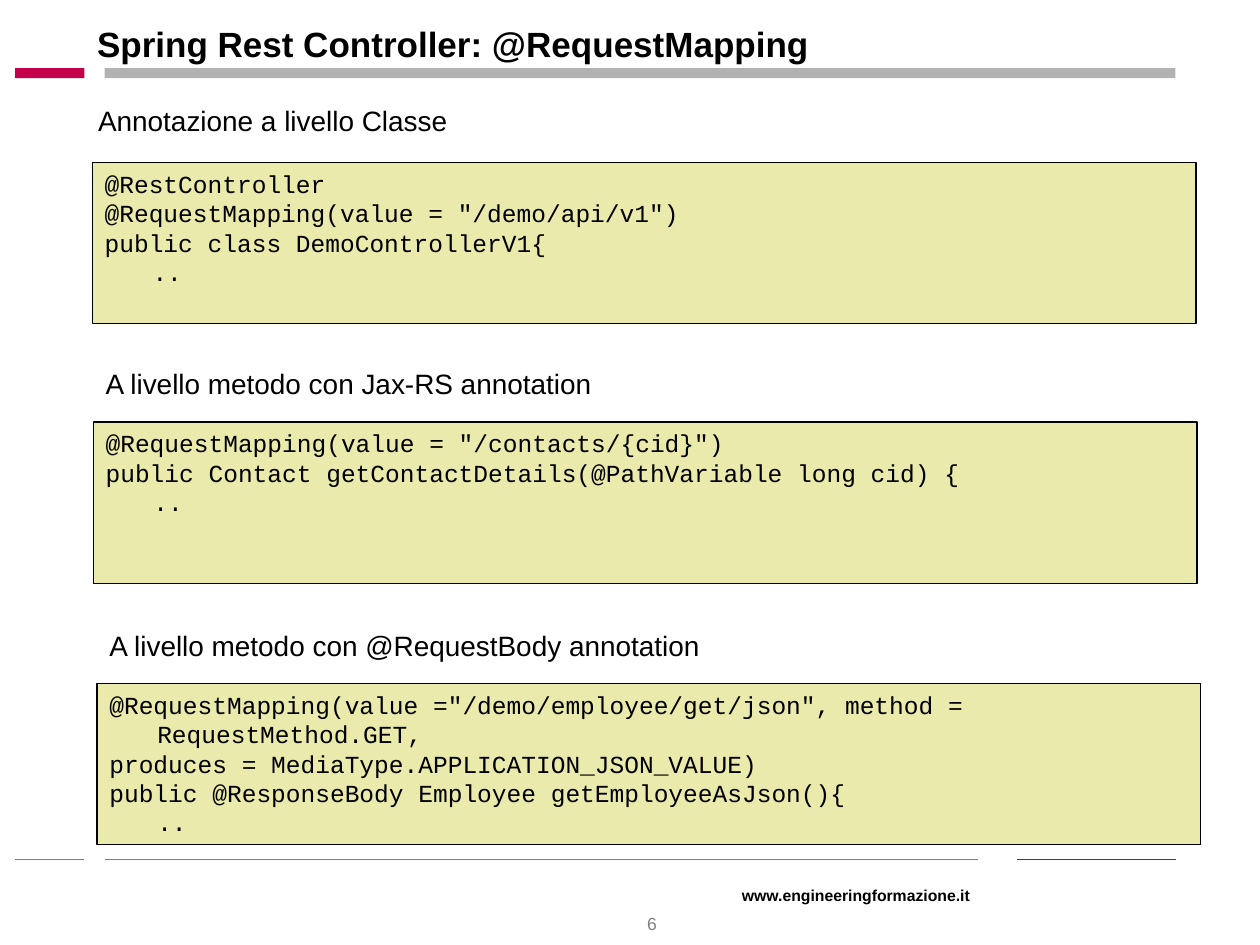
from lxml import etree
from pptx import Presentation
from pptx.dml.color import RGBColor
from pptx.enum.shapes import MSO_CONNECTOR, MSO_SHAPE
from pptx.enum.text import MSO_ANCHOR, PP_ALIGN
from pptx.oxml.ns import qn
from pptx.util import Pt

RECT = MSO_SHAPE.RECTANGLE
LINE = MSO_CONNECTOR.STRAIGHT
LEFT, MID = PP_ALIGN.LEFT, PP_ALIGN.CENTER
TOP, CENTER = MSO_ANCHOR.TOP, MSO_ANCHOR.MIDDLE

BLACK = RGBColor(0x00, 0x00, 0x00)
GRAY = RGBColor(0x80, 0x80, 0x80)
SILVER = RGBColor(0xB2, 0xB2, 0xB2)
RED = RGBColor(0xC4, 0x00, 0x4B)
CREAM = RGBColor(0xEA, 0xEA, 0xAC)

HEAD = {"name": "Arial", "size": Pt(20), "bold": True}
LABEL = {"name": "Arial", "size": Pt(16), "bold": False}
CODE = {"name": "Courier New", "size": Pt(14), "bold": False}
SITE = {"name": "Arial", "size": Pt(9), "bold": True}
PAGE = {"name": "Arial", "size": Pt(10), "bold": False}
HANG = 27.36

PARTS = [
    ("Annotazione a livello Classe", (48.96, 55.44, 625.68, 28.08),
     ["@RestController",
      '@RequestMapping(value = "/demo/api/v1")',
      "public class DemoControllerV1{",
      "\t.."], (52.75, 92.88)),
    ("A livello metodo con Jax-RS annotation", (53.28, 205.92, 617.76, 35.28),
     ['@RequestMapping(value = "/contacts/{cid}")',
      "public Contact getContactDetails(@PathVariable long cid) {",
      "\t.."], (53.28, 241.2)),
    ("A livello metodo con @RequestBody annotation", (55.44, 355.68, 617.76, 35.28),
     ['@RequestMapping(value ="/demo/employee/get/json", method = RequestMethod.GET,',
      "produces = MediaType.APPLICATION_JSON_VALUE)",
      "public @ResponseBody Employee getEmployeeAsJson(){",
      "\t.."], (55.44, 390.6)),
]


def points(box):
    return [Pt(n) for n in box]


def style(para, form, color=BLACK, align=LEFT):
    para.alignment = align
    for key, value in form.items():
        setattr(para.font, key, value)
    para.font.color.rgb = color


def add_label(slide, box, text, form, color=BLACK, align=LEFT):
    frame = slide.shapes.add_textbox(*points(box)).text_frame
    frame.word_wrap = True
    frame.text = text
    style(frame.paragraphs[0], form, color, align)


def add_bar(slide, box, color):
    bar = slide.shapes.add_shape(RECT, *points(box))
    bar.shadow.inherit = False
    bar.fill.solid()
    bar.fill.fore_color.rgb = color
    bar.line.fill.background()
    return bar


def add_rule(slide, start, end, y, color):
    rule = slide.shapes.add_connector(LINE, *points((start, y, end, y)))
    rule.line.color.rgb = color
    rule.line.width = Pt(0.75)
    etree.SubElement(rule._element.spPr, qn("a:effectLst"))


def hang(para):
    props = para._p.get_or_add_pPr()
    props.set("marL", str(Pt(HANG)))
    props.set("indent", str(-Pt(HANG)))
    tabs = etree.SubElement(props, qn("a:tabLst"))
    for step in range(8):
        etree.SubElement(tabs, qn("a:tab"), pos=str(Pt(72 * step)), algn="l")


def add_code(slide, box, lines):
    panel = add_bar(slide, box, CREAM)
    panel.line.color.rgb = BLACK
    panel.line.width = Pt(0.75)
    frame = panel.text_frame
    frame.word_wrap = True
    frame.vertical_anchor = TOP
    frame.text = "\n".join(lines)
    for para in frame.paragraphs:
        hang(para)
        style(para, CODE)


def add_title(slide, box, text):
    title = slide.shapes.title
    title.left, title.top, title.width, title.height = points(box)
    frame = title.text_frame
    frame.word_wrap = True
    frame.vertical_anchor = CENTER
    frame.text = text
    style(frame.paragraphs[0], HEAD)


def add_header(slide, box):
    left, top, width, height = box
    add_bar(slide, (left + 51.12, top, width - 51.12, height), SILVER)
    add_bar(slide, (left, top, 39.6, height), RED)


def add_footer(slide, box):
    left, top, width, height = box
    right = left + width
    add_rule(slide, left, left + 39.6, top, GRAY)
    add_rule(slide, left + 51.12, left + 550, top, GRAY)
    add_rule(slide, right - 90.72, right, top, RED)
    add_label(slide, (left + 408.24, top + 11.52, 147.6, 18),
              "www.engineeringformazione.it", SITE)
    add_label(slide, (left + 329.76, top + 27.36, 68.4, height - 27.36),
              "6", PAGE, GRAY, MID)


def main():
    deck = Presentation()
    deck.slide_width, deck.slide_height = Pt(720), Pt(540)
    slide = deck.slides.add_slide(deck.slide_layouts[5])
    add_header(slide, (8.64, 38.88, 663.12, 5.76))
    add_footer(slide, (8.64, 491.04, 663.12, 48.96))
    add_title(slide, (48.24, 0.72, 589.68, 48.24), "Spring Rest Controller: @RequestMapping")
    for text, box, lines, spot in PARTS:
        add_label(slide, box, text, LABEL)
        add_code(slide, (*spot, 630.72, 92.16), lines)
    deck.save("out.pptx")


if __name__ == "__main__":
    main()
